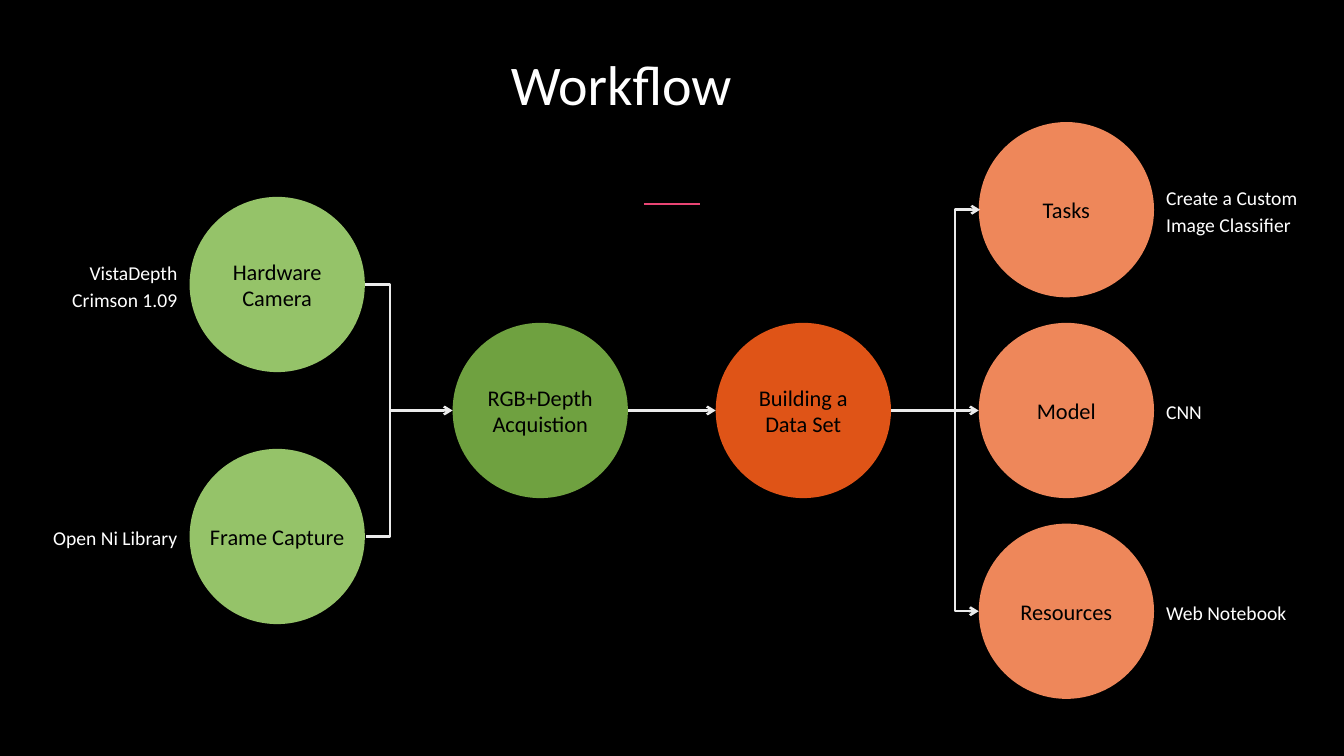
from dataclasses import dataclass

from lxml.etree import SubElement
from pptx import Presentation
from pptx.dml.color import RGBColor
from pptx.enum.shapes import MSO_CONNECTOR as Link, MSO_SHAPE as Preset
from pptx.enum.text import MSO_ANCHOR as Anchor, MSO_AUTO_SIZE as AutoSize, PP_ALIGN as Align
from pptx.oxml.ns import qn
from pptx.shapes.connector import Connector
from pptx.slide import Slide
from pptx.util import Pt


@dataclass(frozen=True)
class Theme:
    font: str = "Calibri"
    background: str = "000000"
    light: str = "FFFFFF"
    dark: str = "000000"
    accent: str = "E84574"
    arrow: str = "EBEBEB"
    source: str = "95C369"
    acquisition: str = "6FA140"
    dataset: str = "DF5417"
    outcome: str = "EE875A"
    title_size: float = 40
    label_size: float = 16
    caption_size: float = 14
    caption_spacing: float = 19
    accent_width: float = 1.5
    arrow_width: float = 1.75


THEME = Theme()

# Layout, in points
DIAMETER = 125.2
FIRST_LEFT, COLUMN_STEP = 135.4, 187.9
MIDDLE = 293.2
SOURCE_RISE, OUTCOME_RISE = 90, 143.4
LABEL_WIDTH, CAPTION_WIDTH, CAPTION_GAP = 108, 105.8, 8.65
LABEL_LINE, CAPTION_LINE = 19.4, 18.5
BRACKET_WIDTH, BRACKET_REACH = 1, 18


@dataclass(frozen=True)
class Step:
    label: str
    column: int
    rise: float
    color: str
    lines: int = 1
    caption: str = ""
    caption_lines: int = 1

    @property
    def left(self) -> float:
        return FIRST_LEFT + self.column * COLUMN_STEP

    @property
    def right(self) -> float:
        return self.left + DIAMETER

    @property
    def center_y(self) -> float:
        return MIDDLE - self.rise


HARDWARE = Step("Hardware Camera", 0, SOURCE_RISE, THEME.source, 2,
                "VistaDepth Crimson 1.09", 2)
CAPTURE = Step("Frame Capture", 0, -SOURCE_RISE, THEME.source, 1, "Open Ni Library")
ACQUISITION = Step("RGB+Depth Acquistion", 1, 0, THEME.acquisition, 2)
DATASET = Step("Building a\nData Set", 2, 0, THEME.dataset, 2)
MODEL = Step("Model", 3, 0, THEME.outcome, 1, "CNN")
TASKS = Step("Tasks", 3, OUTCOME_RISE, THEME.outcome, 1,
             "Create a Custom Image Classifier", 2)
RESOURCES = Step("Resources", 3, -OUTCOME_RISE, THEME.outcome, 1, "Web Notebook")
STEPS = (HARDWARE, CAPTURE, ACQUISITION, DATASET, MODEL, TASKS, RESOURCES)


def rgb(color: str) -> RGBColor:
    return RGBColor.from_string(color)


def add_text(page: Slide, text: str, left: float, top: float, width: float, height: float,
             size: float, color: str, align: Align = Align.LEFT,
             spacing: float | None = None, inset: bool = False) -> None:
    box = page.shapes.add_textbox(Pt(left), Pt(top), Pt(width), Pt(height))
    frame = box.text_frame
    frame.word_wrap = True
    frame.auto_size = AutoSize.SHAPE_TO_FIT_TEXT
    if not inset:
        frame.vertical_anchor = Anchor.MIDDLE
        frame.margin_left = frame.margin_right = frame.margin_top = frame.margin_bottom = 0
    for index, line in enumerate(text.split("\n")):
        para = frame.add_paragraph() if index else frame.paragraphs[0]
        para.alignment = align
        if spacing:
            para.line_spacing = Pt(spacing)
        span = para.add_run()
        span.text = line
        span.font.name = THEME.font
        span.font.size = Pt(size)
        span.font.color.rgb = rgb(color)


def add_line(page: Slide, start: tuple[float, float], end: tuple[float, float],
             kind: Link = Link.STRAIGHT, color: str = THEME.arrow,
             width: float = THEME.arrow_width, heads: tuple[str, ...] = ()) -> Connector:
    line = page.shapes.add_connector(kind, Pt(start[0]), Pt(start[1]), Pt(end[0]), Pt(end[1]))
    line.line.color.rgb = rgb(color)
    line.line.width = Pt(width)
    outline = line.line._get_or_add_ln()
    for head in heads:
        SubElement(outline, qn(f"a:{head}"), type="arrow")
    SubElement(line._element.spPr, qn("a:effectLst"))
    return line


def add_bracket(page: Slide, start: tuple[float, float], end: tuple[float, float],
                heads: tuple[str, ...] = ()) -> None:
    """Elbow whose spine stands BRACKET_REACH outside its narrow frame."""
    bracket = add_line(page, start, end, Link.ELBOW, heads=heads)
    guides = bracket._element.spPr.find(qn("a:prstGeom")).get_or_add_avLst()
    reach = BRACKET_REACH * 100000 // BRACKET_WIDTH
    SubElement(guides, qn("a:gd"), name="adj1", fmla=f"val {reach}")


def add_circle(page: Slide, step: Step) -> None:
    circle = page.shapes.add_shape(Preset.OVAL, Pt(step.left), Pt(step.center_y - DIAMETER / 2),
                                   Pt(DIAMETER), Pt(DIAMETER))
    circle.shadow.inherit = False
    circle.fill.solid()
    circle.fill.fore_color.rgb = rgb(step.color)
    circle.line.fill.background()


def add_step_text(page: Slide, step: Step) -> None:
    height = LABEL_LINE * step.lines
    add_text(page, step.label, step.left + (DIAMETER - LABEL_WIDTH) / 2,
             step.center_y - height / 2, LABEL_WIDTH, height,
             THEME.label_size, THEME.dark, Align.CENTER)
    if step.caption:
        height = CAPTION_LINE * step.caption_lines
        on_left = step.column == 0
        left = step.left - CAPTION_GAP - CAPTION_WIDTH if on_left else step.right + CAPTION_GAP
        add_text(page, step.caption, left, step.center_y - height / 2, CAPTION_WIDTH, height,
                 THEME.caption_size, THEME.light, Align.RIGHT if on_left else Align.LEFT,
                 THEME.caption_spacing)


def main() -> None:
    deck = Presentation()
    deck.slide_width, deck.slide_height = Pt(960), Pt(540)
    page = deck.slides.add_slide(deck.slide_layouts[6])
    page.background.fill.solid()
    page.background.fill.fore_color.rgb = rgb(THEME.background)

    # Accent rule
    add_line(page, (460, 145.6), (500, 145.6), color=THEME.accent, width=THEME.accent_width)

    # Circles
    for step in STEPS:
        add_circle(page, step)

    # Brackets around the sources and the outcomes
    add_bracket(page, (HARDWARE.right, HARDWARE.center_y),
                (CAPTURE.right + BRACKET_WIDTH, CAPTURE.center_y))
    add_bracket(page, (TASKS.left + BRACKET_WIDTH, TASKS.center_y),
                (RESOURCES.left, RESOURCES.center_y), ("headEnd", "tailEnd"))

    # Arrows along the middle row
    spine = HARDWARE.right + BRACKET_REACH
    for start, end in ((spine, ACQUISITION.left), (ACQUISITION.right, DATASET.left),
                       (DATASET.right, MODEL.left)):
        add_line(page, (start, MIDDLE), (end, MIDDLE), heads=("tailEnd",))

    # Labels, captions and title
    for step in STEPS:
        add_step_text(page, step)
    add_text(page, "Workflow", 357.8, 31.7, 228.2, 55.4, THEME.title_size, THEME.light,
             inset=True)

    deck.save("out.pptx")


if __name__ == "__main__":
    main()
